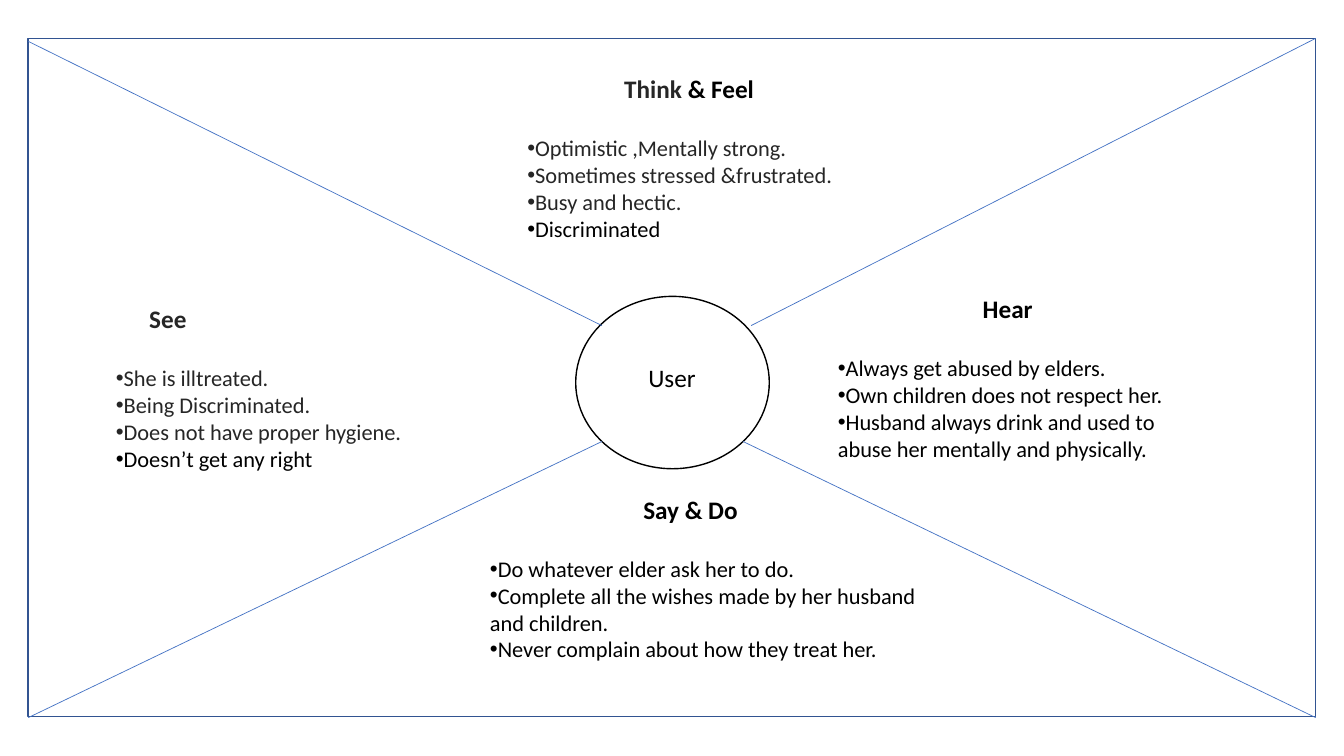
from lxml import etree
from pptx import Presentation, util as u
from pptx.dml.color import RGBColor
from pptx.enum import shapes, text
from pptx.oxml.ns import qn

BLACK, GREY, BLUE, NAVY = "000000", "262626", "4472C4", "325491"
CENTER, LEFT = text.PP_ALIGN.CENTER, text.PP_ALIGN.LEFT


def color(value):
    return RGBColor.from_string(value)


def format_para(para, size, colors, bold=False, align=LEFT, indent=0, bullet=None):
    props = para._p.get_or_add_pPr()
    props.set("marL", str(u.Inches(indent)))
    props.set("indent", "0")
    mark = etree.SubElement(props, qn("a:buChar" if bullet else "a:buNone"))
    if bullet:
        mark.set("char", bullet)
    para.alignment = align
    para.space_before = u.Pt(0)
    for span, value in zip(para.runs, colors):
        span.font.name = "Calibri"
        span.font.size = u.Pt(size)
        span.font.bold = bold
        span.font.color.rgb = color(value)


deck = Presentation()
deck.slide_width, deck.slide_height = u.Inches(13.33), u.Inches(7.5)
page = deck.slides.add_slide(deck.slide_layouts[4])

# Frame and central circle
for kind, place, line_color in [
    (shapes.MSO_SHAPE.RECTANGLE, (0.28, 0.38, 12.77, 6.73), NAVY),
    (shapes.MSO_SHAPE.OVAL, (5.71, 2.94, 1.92, 1.71), BLACK),
]:
    outline = page.shapes.add_shape(kind, *map(u.Inches, place))
    outline.shadow.inherit = False
    outline.fill.background()
    outline.line.color.rgb = color(line_color)
    outline.line.width = u.Pt(1)

# Diagonals from the circle to the corners
for ends in [
    (7.45, 3.23, 13.05, 0.38),
    (7.37, 4.38, 13.05, 7.12),
    (0.28, 7.12, 5.97, 4.38),
    (0.28, 0.41, 5.97, 3.23),
]:
    diagonal = page.shapes.add_connector(
        shapes.MSO_CONNECTOR.STRAIGHT, *map(u.Inches, ends))
    diagonal.line.color.rgb = color(BLUE)
    diagonal.line.width = u.Pt(0.5)
    etree.SubElement(diagonal._element.spPr, qn("a:effectLst"))

# Each part: place, heading spans, heading alignment and indent, list items
parts = [
    ((5.88, 3.54, 1.57, 1.08), [("User", BLACK)], CENTER, 0, []),
    ((5.13, 0.68, 3.37, 2.36), [("Think", GREY), (" & Feel", BLACK)], CENTER, 0.04, [
        ("Optimistic ,Mentally strong.", GREY),
        ("Sometimes stressed &frustrated.", GREY),
        ("Busy and hectic.", GREY),
        ("Discriminated", BLACK)]),
    ((8.21, 2.86, 3.57, 1.78), [("Hear", BLACK)], CENTER, 0, [
        ("Always get abused by elders.", BLACK),
        ("Own children does not respect her.", BLACK),
        ("Husband always drink and used to abuse her mentally and physically.", BLACK)]),
    ((1.05, 2.96, 3.9, 1.78), [("See", GREY)], LEFT, 0.33, [
        ("She is illtreated.", GREY),
        ("Being Discriminated.", GREY),
        ("Does not have proper hygiene.", GREY),
        ("Doesn’t get any right", BLACK)]),
    ((4.76, 4.85, 4.55, 2.05), [("Say & Do", BLACK)], LEFT, 1.52, [
        ("Do whatever elder ask her to do.", BLACK),
        ("Complete all the wishes made by her husband and children.", BLACK),
        ("Never complain about how they treat her.", BLACK)]),
]

# The title holds the user, the other placeholders hold the lists
holders = [box for box in page.placeholders if box.placeholder_format.idx < 10]
for box, (place, heading, align, indent, items) in zip(holders, parts):
    box.left, box.top, box.width, box.height = map(u.Inches, place)
    frame = box.text_frame
    frame.word_wrap = True
    frame.auto_size = text.MSO_AUTO_SIZE.NONE
    frame.vertical_anchor = text.MSO_ANCHOR.TOP
    para = frame.paragraphs[0]
    for words, _ in heading:
        para.add_run().text = words
    format_para(para, 18, [value for _, value in heading], bool(items), align, indent)
    if items:
        para.space_after = u.Pt(22)
    for words, value in items:
        para = frame.add_paragraph()
        para.text = words
        format_para(para, 16, [value], bullet="•")

deck.save("out.pptx")
